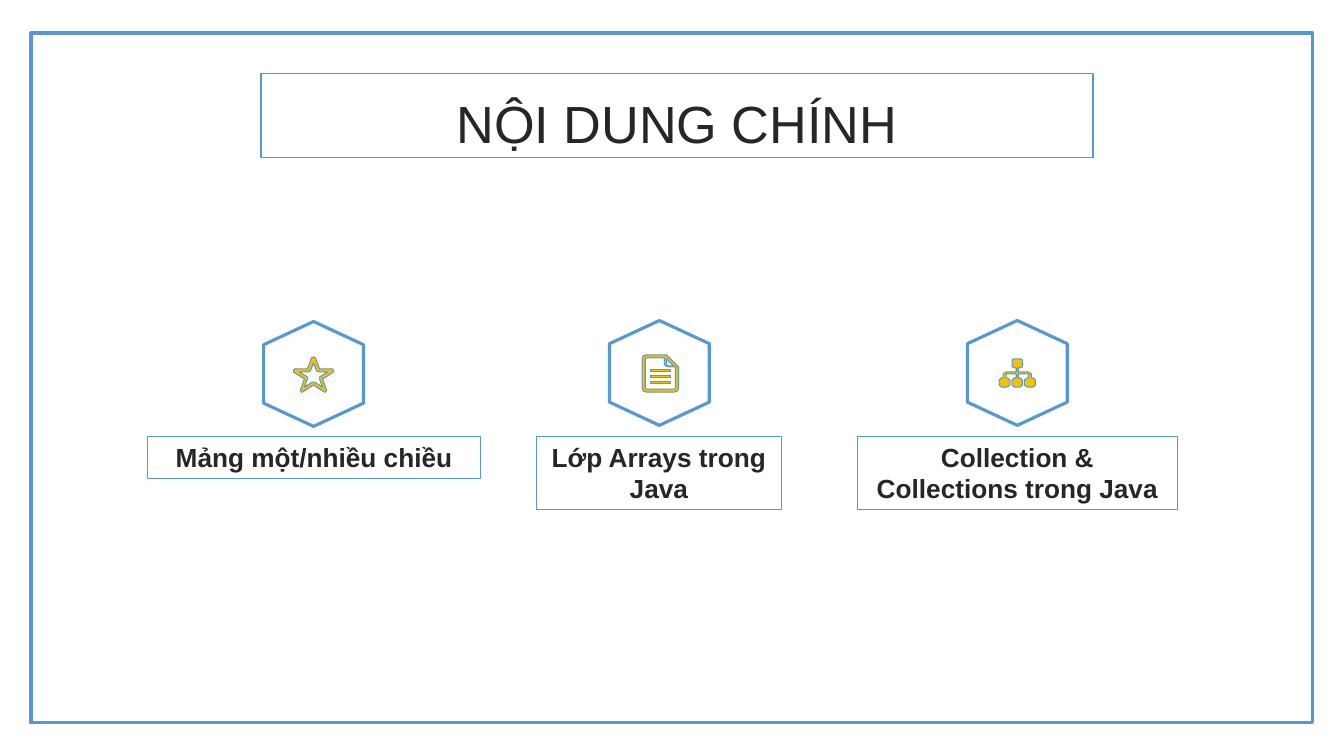
from dataclasses import dataclass

from pptx import Presentation
from pptx.dml.color import RGBColor
from pptx.enum.shapes import MSO_SHAPE
from pptx.enum.text import MSO_ANCHOR, MSO_AUTO_SIZE, PP_ALIGN
from pptx.shapes.autoshape import Shape
from pptx.shapes.shapetree import GroupShapes
from pptx.text.text import TextFrame
from pptx.util import Inches, Pt

COLS, ROWS = 1333, 750
CELL = Inches(13.33) / COLS
BLUE = RGBColor(0x56, 0x98, 0xD3)
GOLD = RGBColor(0xF8, 0xC0, 0x02)
INK = RGBColor(0x26, 0x26, 0x26)
FONT = "Arial"
RECTANGLE = MSO_SHAPE.RECTANGLE
CENTER = PP_ALIGN.CENTER
TOP = MSO_ANCHOR.TOP
FIT_SHAPE = MSO_AUTO_SIZE.SHAPE_TO_FIT_TEXT

Contour = list[tuple[float, float]]


@dataclass(frozen=True)
class Box:
    col: float
    row: float
    cols: float
    rows: float


@dataclass(frozen=True)
class Topic:
    text: str
    label: Box
    center: tuple[float, float]
    icon: list[Contour]


def grid(cells: float) -> int:
    return round(cells * CELL)


def mirrored(half: Contour) -> Contour:
    return half + [(-x, y) for x, y in reversed(half) if x]


def bar(y: float) -> Contour:
    return [(-9, y), (11, y), (11, y + 1.5), (-9, y + 1.5)]


HEXAGON = [mirrored([(0, -52), (49.5, -29), (49.5, 29), (0, 52)])]
STAR = [
    mirrored([(0, -17), (2, -16), (6, -5), (19, -5), (20, -3), (20, -2), (9, 5),
              (13, 16), (12, 18), (11, 18), (0, 11)]),
    mirrored([(0, -11), (3, -3), (5, -2), (14, -2), (6, 3), (6, 5), (9, 13),
              (1, 8)]),
]
DOCUMENT = [
    [(-13, -18), (7, -18), (18, -7), (19, -6), (19, 15), (18, 18), (15, 19),
     (-13, 19), (-16, 18), (-17, 15), (-17, -14), (-16, -17)],
    [(16, -6), (16, 15), (15, 16), (-13, 16), (-14, 15), (-14, -14), (-13, -15),
     (5, -15), (5, -9), (6, -7), (9, -6)],
    [(7, -14), (14, -7), (9, -7), (7, -8)],
    *[bar(y) for y in (-3, 3, 9)],
]
HIERARCHY = [
    mirrored([(3, -14), (5, -13), (5, -6), (3, -5), (1, -5), (1, -1), (11, -1),
              (14, 1), (14, 5), (16, 5), (18, 7), (18, 12), (16, 14), (10, 14),
              (7, 12), (7, 7), (10, 5), (11, 5), (11, 1), (1, 1), (1, 5), (3, 5),
              (5, 7), (5, 12), (3, 14)]),
]

TITLE = Box(259, 73, 825, 79)
FRAME = Box(31, 33, 1271, 684)
TOPICS = [
    Topic("Mảng một/nhiều chiều", Box(146, 433, 331, 42), (311, 371), STAR),
    Topic("Lớp Arrays trong Java", Box(532, 433, 243, 73), (654, 370), DOCUMENT),
    Topic("Collection & Collections trong Java", Box(850, 433, 318, 73),
          (1009, 370), HIERARCHY),
]


def place(sp: Shape, box: Box) -> None:
    sp.left, sp.top = grid(box.col), grid(box.row)
    sp.width, sp.height = grid(box.cols), grid(box.rows)


def outline(sp: Shape, weight: float) -> None:
    sp.line.color.rgb = BLUE
    sp.line.width = Pt(weight)


def write(tf: TextFrame, text: str, size: float, bold: bool) -> None:
    tf.word_wrap = True
    tf.auto_size = FIT_SHAPE
    tf.vertical_anchor = TOP
    p = tf.paragraphs[0]
    p.alignment = CENTER
    r = p.add_run()
    r.text = text
    r.font.name = FONT
    r.font.size = Pt(size)
    r.font.bold = bold
    r.font.color.rgb = INK


def draw_contours(shapes: GroupShapes, contours: list[Contour],
                  center: tuple[float, float], weight: float) -> Shape:
    cx, cy = center
    placed = [[(grid(cx + x), grid(cy + y)) for x, y in c] for c in contours]
    builder = shapes.build_freeform(*placed[0][0])
    builder.add_line_segments(placed[0][1:], close=True)
    for contour in placed[1:]:
        builder.move_to(*contour[0])
        builder.add_line_segments(contour[1:], close=True)
    sp = builder.convert_to_shape()
    sp.shadow.inherit = False
    sp.fill.background()
    outline(sp, weight)
    return sp


def main() -> None:
    prs = Presentation()
    prs.slide_width, prs.slide_height = grid(COLS), grid(ROWS)
    s = prs.slides.add_slide(prs.slide_layouts[5])

    title = s.shapes.title
    place(title, TITLE)
    outline(title, 1)
    write(title.text_frame, "NỘI DUNG CHÍNH", 37.3, False)
    title.text_frame.paragraphs[0].line_spacing = 1.2

    frame = s.shapes.add_shape(RECTANGLE, 0, 0, 0, 0)
    place(frame, FRAME)
    frame.shadow.inherit = False
    frame.fill.background()
    outline(frame, 2.5)

    for topic in TOPICS:
        badge = s.shapes.add_group_shape()
        draw_contours(badge.shapes, HEXAGON, topic.center, 2.25)
        icon = draw_contours(badge.shapes, topic.icon, topic.center, 0.75)
        icon.fill.solid()
        icon.fill.fore_color.rgb = GOLD

        label = s.shapes.add_textbox(0, 0, 0, 0)
        place(label, topic.label)
        outline(label, 0.75)
        write(label.text_frame, topic.text, 18.7, True)

    prs.save("out.pptx")


if __name__ == "__main__":
    main()
